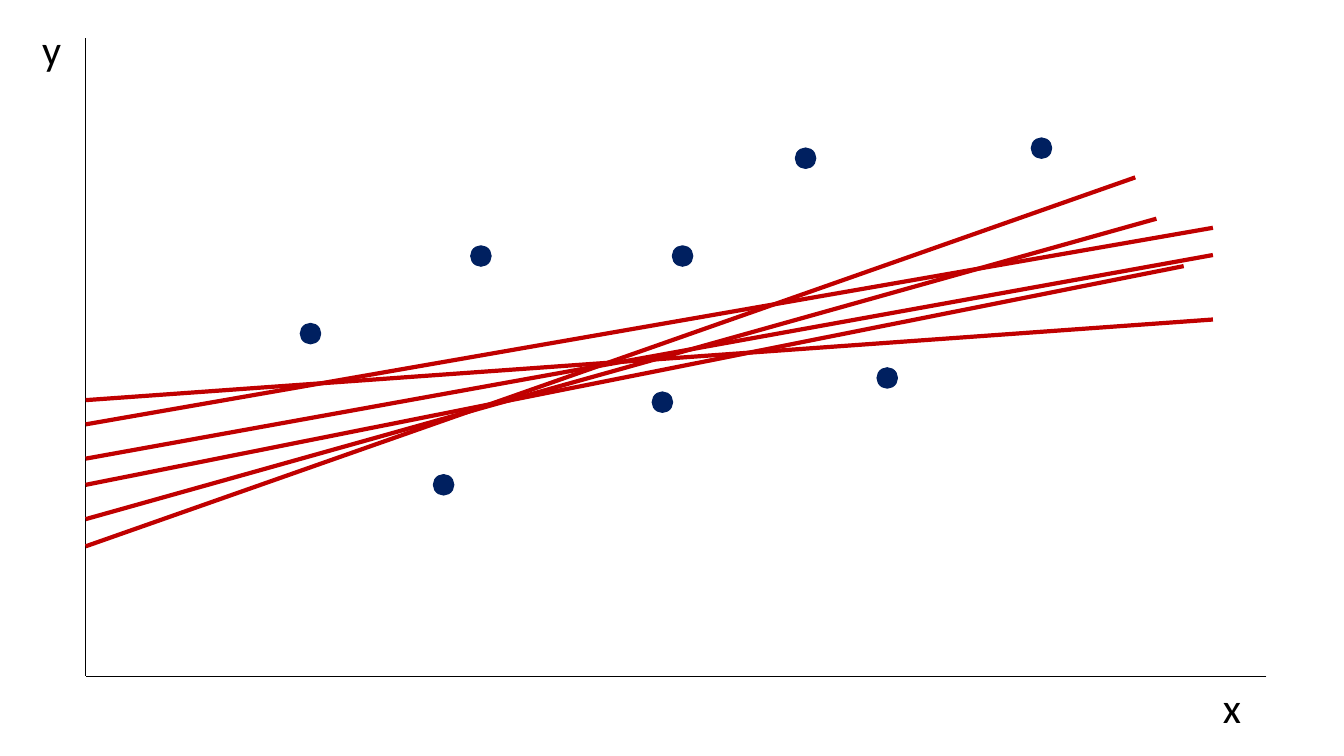
import pptx
import pptx.util
import pptx.dml.color
import pptx.enum.shapes
import pptx.enum.text
import pptx.oxml.ns
import lxml.etree

Inch = pptx.util.Inches
Pt = pptx.util.Pt
RGB = pptx.dml.color.RGBColor

NAVY = RGB(0x00, 0x20, 0x60)
RED = RGB(0xC0, 0x00, 0x00)
BLACK = RGB(0x00, 0x00, 0x00)
FONT = "Calibri"

# Plot box on a one-inch grid: left, top, width, height
PLOT = (0.85, 0.38, 11.71, 6.33)
DOT = 0.2
LABEL = (0.53, 0.61)

# Data points: columns right of and rows above the origin
DOTS = [(3.92, 4.17), (3.55, 1.9), (5.92, 4.17), (2.23, 3.4),
        (5.72, 2.72), (7.14, 5.14), (7.95, 2.96), (9.48, 5.24)]

# Fitted lines: height on the y axis, then column and height of the end
FITS = [(1.56, 10.62, 4.54), (2.74, 11.18, 3.54), (2.16, 11.18, 4.18),
        (1.29, 10.41, 4.95), (2.5, 11.18, 4.45), (1.9, 10.89, 4.07)]


def add_line(slide, start, end, color, width):
    line = slide.shapes.add_connector(
        pptx.enum.shapes.MSO_CONNECTOR.STRAIGHT,
        *[Inch(n) for n in (*start, *end)])
    line.line.color.rgb = color
    line.line.width = Pt(width)
    # No shadow
    lxml.etree.SubElement(line._element.spPr, pptx.oxml.ns.qn("a:effectLst"))


def add_dot(slide, x, y):
    dot = slide.shapes.add_shape(
        pptx.enum.shapes.MSO_SHAPE.OVAL,
        Inch(x - DOT / 2), Inch(y - DOT / 2), Inch(DOT), Inch(DOT))
    dot.shadow.inherit = False
    dot.fill.solid()
    dot.fill.fore_color.rgb = NAVY
    dot.line.color.rgb = NAVY
    dot.line.width = Pt(1)


def add_label(slide, text, x, y):
    box = slide.shapes.add_textbox(Inch(x), Inch(y), *map(Inch, LABEL))
    frame = box.text_frame
    frame.word_wrap = True
    frame.auto_size = pptx.enum.text.MSO_AUTO_SIZE.SHAPE_TO_FIT_TEXT
    run = frame.paragraphs[0].add_run()
    run.text = text
    run.font.name = FONT
    run.font.size = Pt(30)
    run.font.color.rgb = BLACK


def add_plot(slide, box):
    left, top, width, height = box
    right, base = left + width, top + height

    def place(x, y):
        return left + x, base - y

    # Data points
    for x, y in DOTS:
        add_dot(slide, *place(x, y))

    # Axes and their labels
    add_line(slide, (left, top), (left, base), BLACK, 1)
    add_line(slide, (right, base), (left, base), BLACK, 1)
    add_label(slide, "x", right - LABEL[0], base)
    add_label(slide, "y", left - LABEL[0], top - 0.2)

    # Fitted lines
    for start, x, end in FITS:
        add_line(slide, place(0, start), place(x, end), RED, 3)


def main():
    deck = pptx.Presentation()
    deck.slide_width = Inch(13.33)
    deck.slide_height = Inch(7.5)
    slide = deck.slides.add_slide(deck.slide_layouts[6])
    add_plot(slide, PLOT)
    deck.save("out.pptx")


if __name__ == "__main__":
    main()
